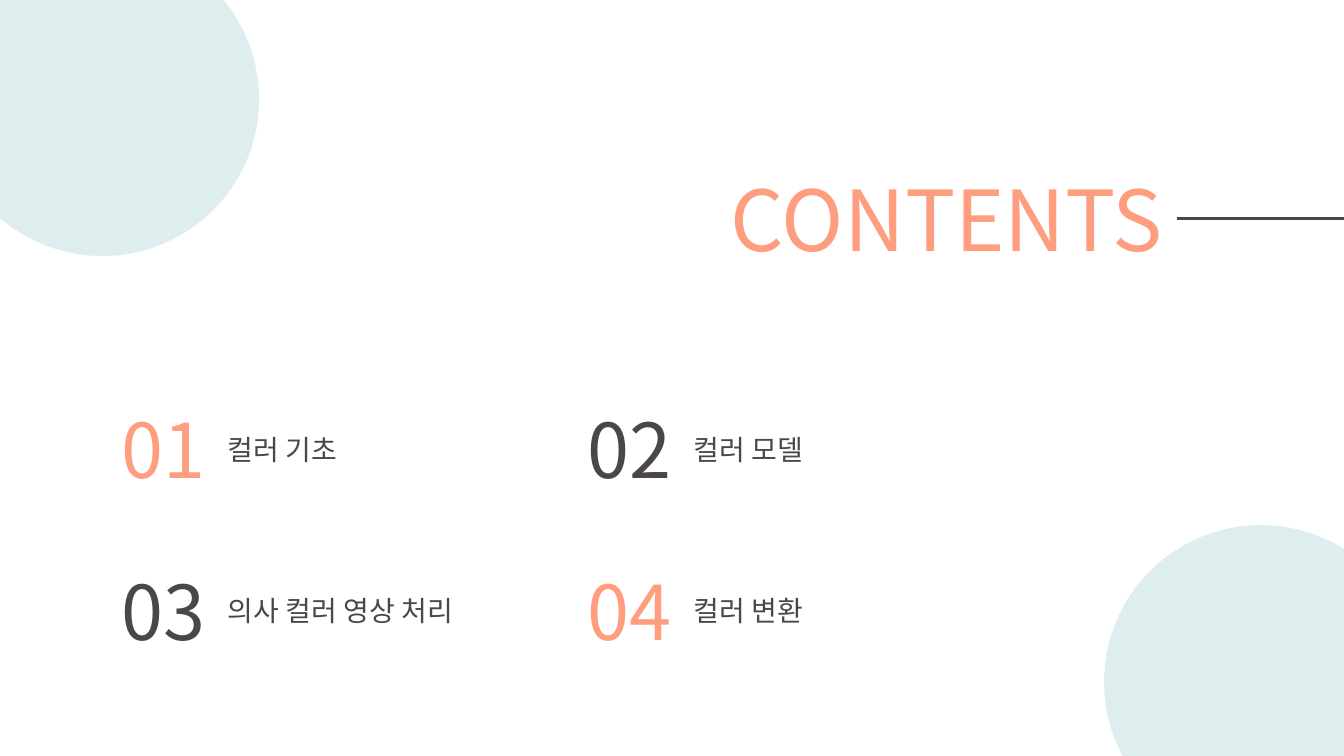
from pptx import Presentation
from pptx.dml.color import RGBColor
from pptx.enum.shapes import MSO_CONNECTOR, MSO_SHAPE
from pptx.enum.text import MSO_ANCHOR, MSO_AUTO_SIZE, PP_ALIGN
from pptx.oxml.ns import qn
from pptx.util import Inches, Pt
from lxml.etree import SubElement

# Content
TITLE = "CONTENTS"
TOPICS = ["컬러 기초", "컬러 모델", "의사 컬러 영상 처리", "컬러 변환"]

# Style
FONT = "Noto Sans CJK KR"
CORAL = RGBColor(0xFE, 0x9E, 0x7E)
CHARCOAL = RGBColor(0x4C, 0x47, 0x47)
MINT = RGBColor(0xC8, 0xE4, 0xE5)

# Layout in inches
WIDTH, HEIGHT = 13.33, 7.5
COLUMNS = 2
GRID_LEFT, GRID_TOP = 1.11, 3.95
COLUMN_STEP, ROW_STEP = 4.62, 1.6
NUMBER_SIZE = (1.05, 1.01)
TOPIC_SIZE = (2.74, 0.44)
TOPIC_DROP = 0.29
RULE_LEFT, RULE_Y = 11.67, 2.17
CIRCLE = 3.11
CIRCLE_CORNERS = [(-0.54, -0.57), (10.95, 5.21)]


def write(box, text, size, color):
    frame = box.text_frame
    frame.word_wrap = False
    frame.auto_size = MSO_AUTO_SIZE.SHAPE_TO_FIT_TEXT
    frame.vertical_anchor = MSO_ANCHOR.TOP
    paragraph = frame.paragraphs[0]
    paragraph.alignment = PP_ALIGN.LEFT
    paragraph.line_spacing = 1.0
    run = paragraph.add_run()
    run.text = text
    run.font.size = Pt(size)
    run.font.name = FONT
    run.font.color.rgb = color
    SubElement(run.font._element, qn("a:ea")).set("typeface", FONT)


def add_label(slide, left, top, size, text, points, color):
    box = slide.shapes.add_textbox(*map(Inches, (left, top, *size)))
    write(box, text, points, color)


prs = Presentation()
prs.slide_width, prs.slide_height = Inches(WIDTH), Inches(HEIGHT)
slide = prs.slides.add_slide(prs.slide_layouts[5])

# Title and the rule running to the slide's edge
title = slide.shapes.title
title.left, title.top = Inches(7.15), Inches(1.61)
title.width, title.height = Inches(RULE_LEFT - 7.15), Inches(1.11)
write(title, TITLE, 60, CORAL)

rule = slide.shapes.add_connector(
    MSO_CONNECTOR.STRAIGHT,
    *map(Inches, (RULE_LEFT, RULE_Y, WIDTH, RULE_Y)))
rule.line.color.rgb = CHARCOAL
rule.line.width = Pt(2.25)
SubElement(rule._element.spPr, qn("a:effectLst"))

# Translucent corner circles
for left, top in CIRCLE_CORNERS:
    circle = slide.shapes.add_shape(
        MSO_SHAPE.OVAL, *map(Inches, (left, top, CIRCLE, CIRCLE)))
    circle.shadow.inherit = False
    circle.line.fill.background()
    circle.fill.solid()
    circle.fill.fore_color.rgb = MINT
    tint = circle._element.spPr.find(qn("a:solidFill"))[0]
    SubElement(tint, qn("a:alpha")).set("val", "60000")

# Numbered topics, colours alternating as on a checkerboard
for index, topic in enumerate(TOPICS):
    row, column = divmod(index, COLUMNS)
    left = GRID_LEFT + column * COLUMN_STEP
    top = GRID_TOP + row * ROW_STEP
    number_color = CHARCOAL if (row + column) % 2 else CORAL
    add_label(slide, left, top, NUMBER_SIZE, f"{index + 1:02}", 54, number_color)
    width = TOPIC_SIZE[0] if len(topic) > 5 else 1.42
    add_label(slide, left + NUMBER_SIZE[0], top + TOPIC_DROP,
              (width, TOPIC_SIZE[1]), topic, 20, CHARCOAL)

prs.save("out.pptx")
